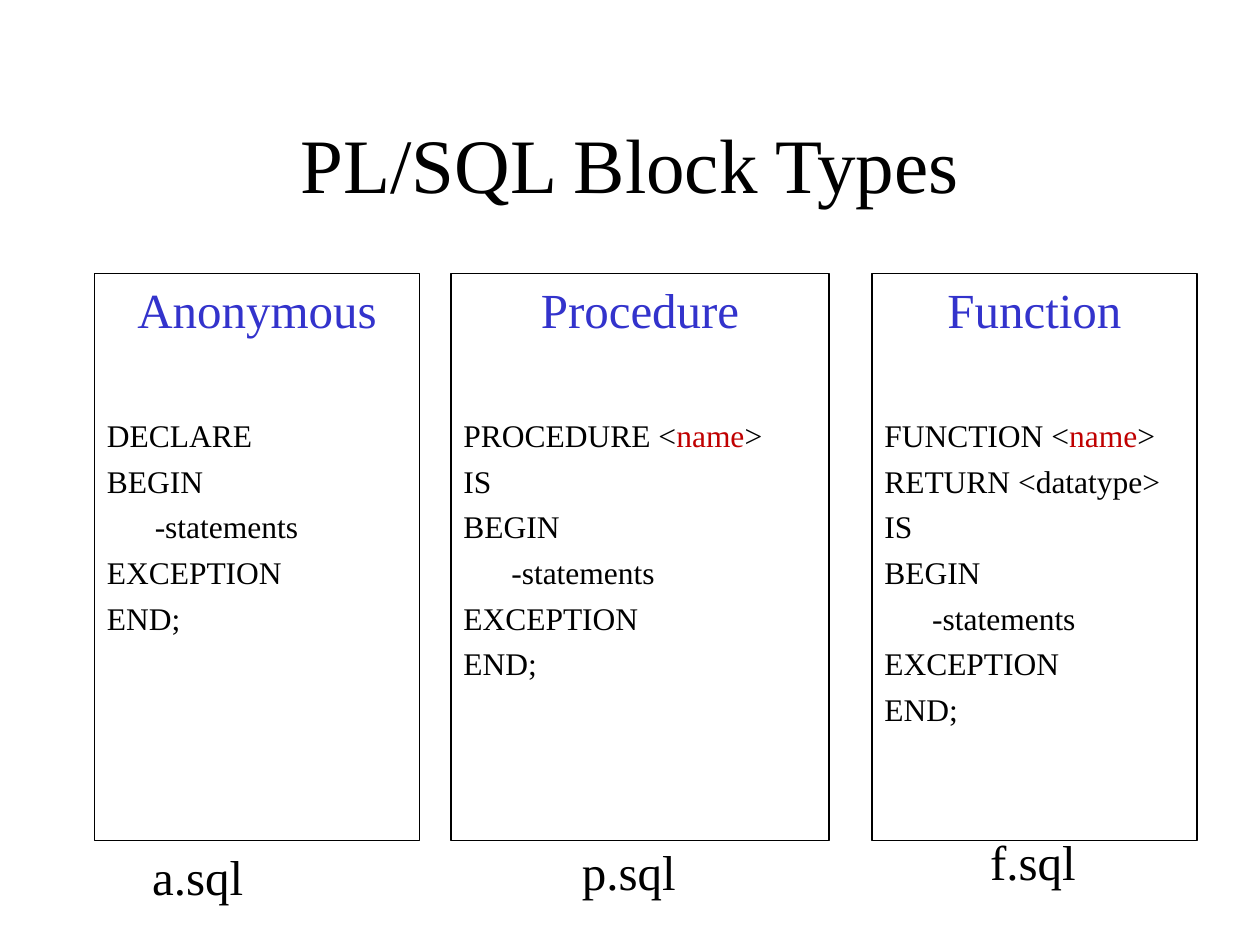
from dataclasses import dataclass

from pptx import Presentation
from pptx.dml.color import RGBColor
from pptx.enum.shapes import MSO_SHAPE as Kind
from pptx.enum.text import MSO_ANCHOR as Anchor, PP_ALIGN as Align
from pptx.slide import Slide
from pptx.text.text import _Paragraph as Para
from pptx.util import Inches, Pt

BLACK = RGBColor(0x00, 0x00, 0x00)
BLUE = RGBColor(0x33, 0x33, 0xCC)
RED = RGBColor(0xC0, 0x00, 0x00)
FONT = "Times New Roman"
TOP, HIGH = 2.17, 4.5
BODY = ("BEGIN", "-statements", "EXCEPTION", "END;")


@dataclass(frozen=True)
class Label:
    text: str
    left: float
    top: float
    width: float


@dataclass(frozen=True)
class Block:
    title: str
    left: float
    width: float
    head: tuple[str, ...]
    label: Label


BLOCKS = (
    Block("Anonymous", 0.75, 2.58, ("DECLARE",),
          Label("a.sql", 1.11, 6.67, 0.93)),
    Block("Procedure", 3.58, 3, ("PROCEDURE <name>", "IS"),
          Label("p.sql", 4.52, 6.63, 0.95)),
    Block("Function", 6.92, 2.58,
          ("FUNCTION <name>", "RETURN <datatype>", "IS"),
          Label("f.sql", 7.76, 6.55, 0.89)),
)


def add_run(para: Para, text: str, size: float, color: RGBColor = BLACK) -> None:
    run = para.add_run()
    run.text = text
    run.font.name = FONT
    run.font.size = Pt(size)
    run.font.color.rgb = color


def add_code(para: Para, line: str) -> None:
    para.alignment = Align.LEFT
    para.space_before = Pt(4.45)
    if line.startswith("-"):
        para._p.get_or_add_pPr().set("marL", str(Inches(0.38)))
    start, name, end = line.partition("name")
    for text, color in ((start, BLACK), (name, RED), (end, BLACK)):
        if text:
            add_run(para, text, 18, color)


def draw_block(slide: Slide, block: Block) -> None:
    box = slide.shapes.add_shape(
        Kind.RECTANGLE, Inches(block.left), Inches(TOP),
        Inches(block.width), Inches(HIGH))
    box.shadow.inherit = False
    box.fill.background()
    box.line.color.rgb = BLACK
    box.line.width = Pt(0.75)
    frame = box.text_frame
    frame.word_wrap = True
    frame.vertical_anchor = Anchor.TOP
    para = frame.paragraphs[0]
    para.alignment = Align.CENTER
    para.space_before = Pt(4)
    para.space_after = Pt(40)
    add_run(para, block.title, 28, BLUE)
    for line in block.head + BODY:
        add_code(frame.add_paragraph(), line)


def draw_label(slide: Slide, label: Label) -> None:
    box = slide.shapes.add_textbox(
        Inches(label.left), Inches(label.top),
        Inches(label.width), Inches(0.57))
    box.text_frame.word_wrap = False
    add_run(box.text_frame.paragraphs[0], label.text, 28)


def draw_title(slide: Slide, text: str) -> None:
    title = slide.shapes.title
    title.left, title.top = Inches(0.75), Inches(0.67)
    title.width, title.height = Inches(8.5), Inches(1.25)
    title.text_frame.vertical_anchor = Anchor.MIDDLE
    para = title.text_frame.paragraphs[0]
    para.alignment = Align.CENTER
    add_run(para, text, 44)


def main() -> None:
    deck = Presentation()
    deck.slide_width, deck.slide_height = Inches(10), Inches(7.5)
    slide = deck.slides.add_slide(deck.slide_layouts[5])
    draw_title(slide, "PL/SQL Block Types")
    for block in BLOCKS:
        draw_block(slide, block)
    for block in BLOCKS:
        draw_label(slide, block.label)
    deck.save("out.pptx")


if __name__ == "__main__":
    main()
